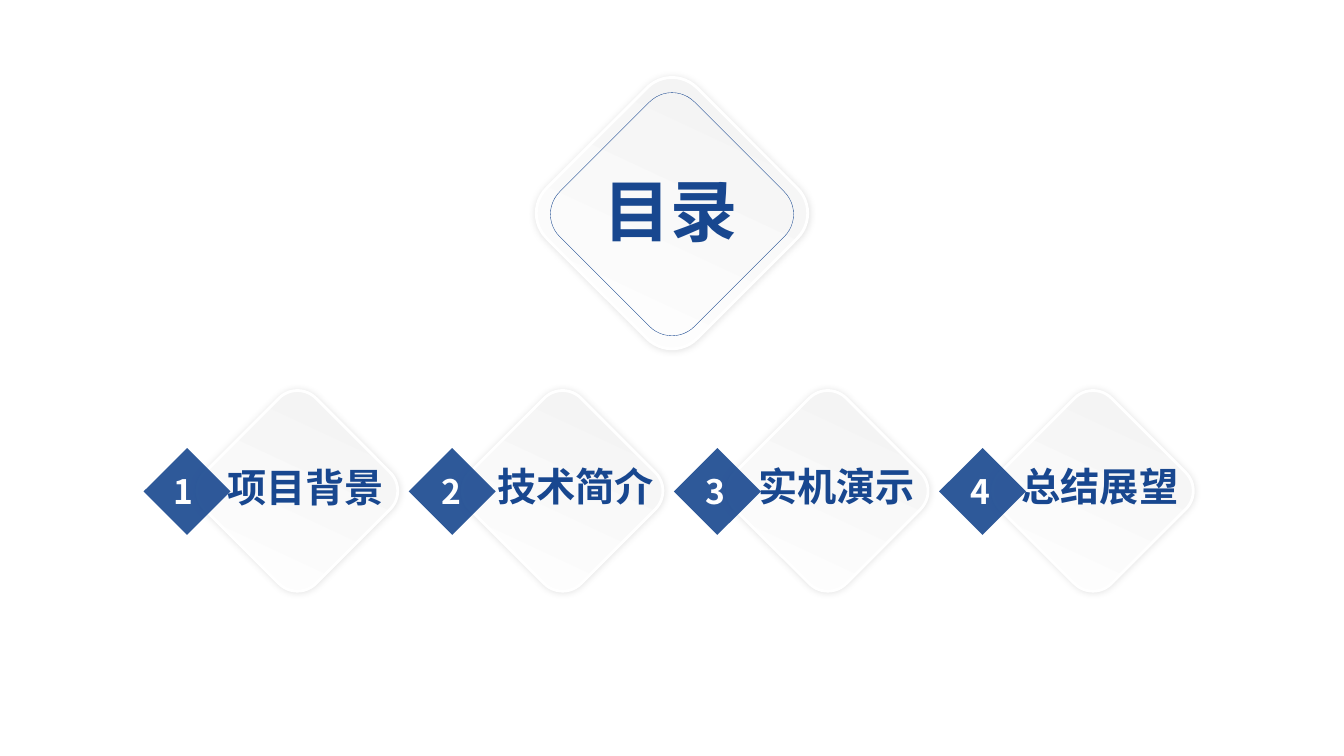
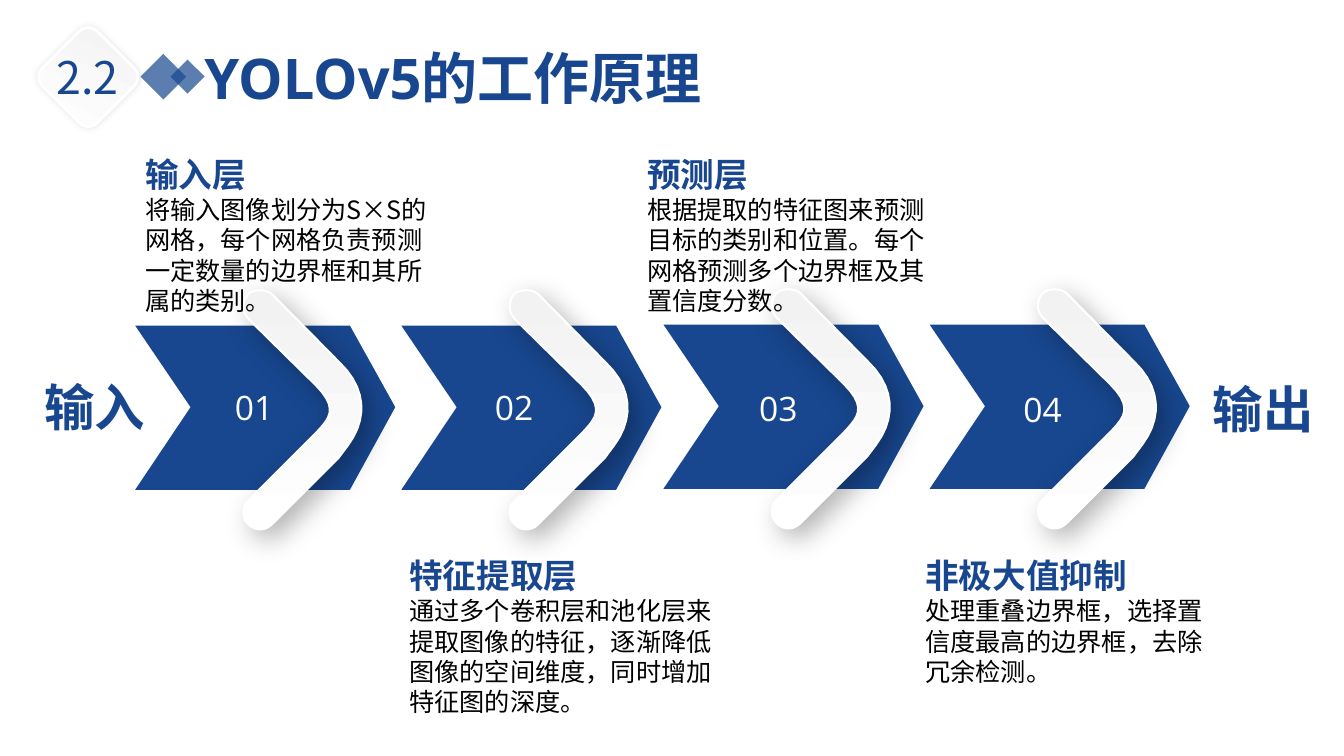
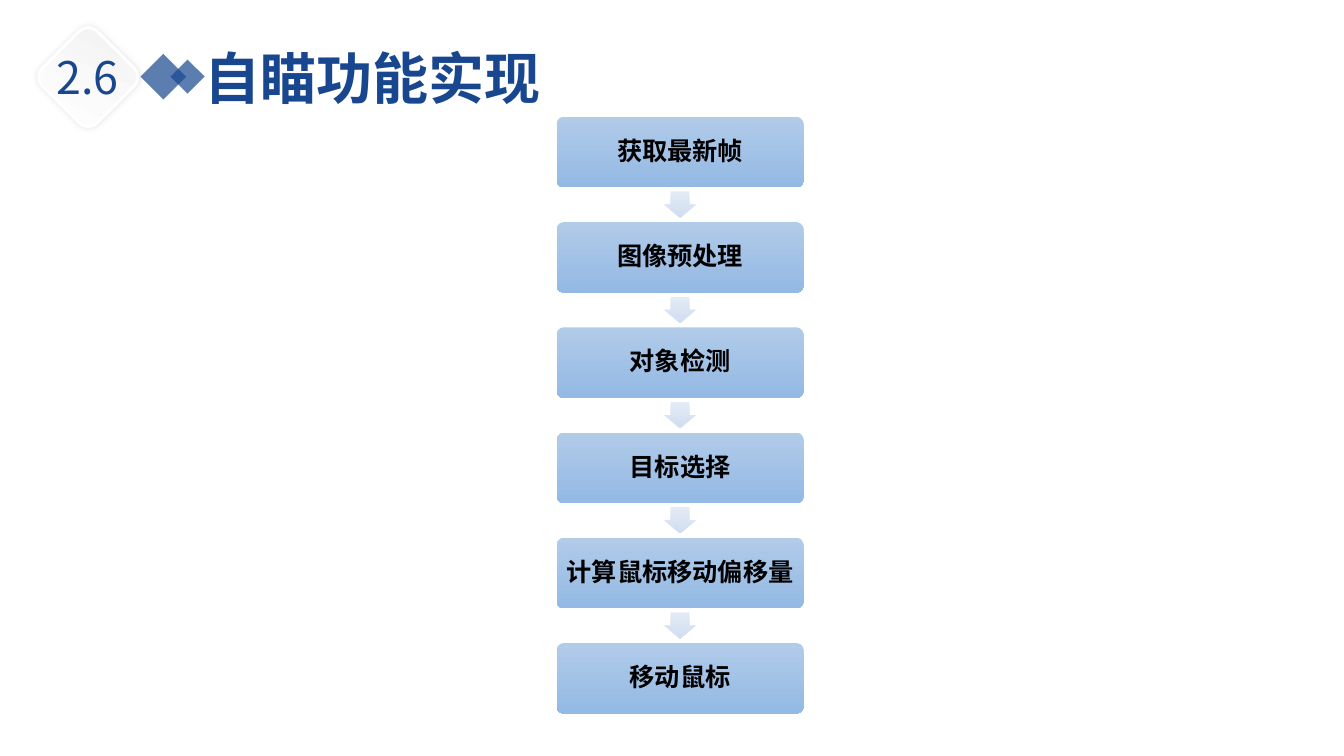
import pptx
import pptx.dml.color
import pptx.enum.shapes
import pptx.enum.text
import pptx.oxml
import pptx.oxml.ns
import pptx.util
from lxml import etree

Inches = pptx.util.Inches
Pt = pptx.util.Pt
SHAPE = pptx.enum.shapes.MSO_SHAPE
ALIGN = pptx.enum.text.PP_ALIGN
ANCHOR = pptx.enum.text.MSO_ANCHOR
AUTO_SIZE = pptx.enum.text.MSO_AUTO_SIZE
qn = pptx.oxml.ns.qn

# Shared colours, fonts and text styles
NAVY, WHITE, PALE, BLACK = "18478F", "FFFFFF", "F2F2F2", "000000"
CJK, LATIN = "Noto Sans CJK SC", "Open Sans"
TITLE = {"size": Pt(40), "bold": True, "name": LATIN, "color": NAVY}
SECTION = {"size": Pt(32), "bold": False, "name": CJK, "color": NAVY}
CONTENTS = {"size": Pt(48), "bold": True, "name": CJK, "color": NAVY}
CHAPTER = {"size": Pt(28), "bold": True, "name": CJK, "color": NAVY}
CHAPTER_NUMBER = {"size": Pt(24), "bold": True, "name": CJK, "color": WHITE}
ENDPOINT = {"size": Pt(36), "bold": True, "name": CJK, "color": NAVY}
HEADING = {"size": Pt(24), "bold": True, "name": CJK, "color": NAVY}
BODY = {"size": Pt(18), "bold": False, "name": CJK, "color": BLACK}
STAGE_NUMBER = {"size": Pt(24), "bold": False, "name": LATIN, "color": WHITE}
STEP = {"size": Pt(18), "bold": True, "name": CJK, "color": BLACK}

# Stage arrow and white hook, relative to the arrow's top left corner
ARROW = [(0, 0), (2.13, 0), (2.58, 0.81), (2.13, 1.63), (0, 1.63), (0.55, 0.81)]
HOOK = [  # a point is a straight run, three points are a curve
    [(1.24, -0.35)],
    [(1.28, -0.35), (1.32, -0.34), (1.36, -0.31)],
    [(2.03, 0.37)],
    [(2.29, 0.62), (2.31, 0.92), (2.11, 1.19)],
    [(2.02, 1.31)],
    [(1.36, 1.97)],
    [(1.29, 2.04), (1.19, 2.04), (1.12, 1.97)],
    [(1.06, 1.91), (1.06, 1.8), (1.12, 1.74)],
    [(1.79, 1.07)],
    [(1.92, 0.93), (2.03, 0.83), (1.79, 0.59)],
    [(1.12, -0.07)],
    [(1.06, -0.14), (1.06, -0.24), (1.12, -0.31)],
    [(1.15, -0.34), (1.2, -0.35), (1.24, -0.35)],
]


def rgb(color):
    return pptx.dml.color.RGBColor.from_string(color)


# Fill, line and shadow
def paint(shape, fill=None, alpha=100, line=None, width=1):
    shape.shadow.inherit = False
    if fill:
        shape.fill.solid()
        shape.fill.fore_color.rgb = rgb(fill)
    else:
        shape.fill.background()
    if alpha < 100:
        color = shape._element.spPr.find(".//" + qn("a:srgbClr"))
        etree.SubElement(color, qn("a:alpha"), val=str(alpha * 1000))
    if line:
        shape.line.color.rgb = rgb(line)
        shape.line.width = Pt(width)
    else:
        shape.line.fill.background()


def shade(shape, start, end, clockwise):
    shape.fill.gradient()
    shape.fill.gradient_angle = 360 - clockwise
    for stop, color in zip(shape.fill.gradient_stops, (start, end)):
        stop.color.rgb = rgb(color)


def cast_shadow(shape, alpha, blur, distance=0, angle=0):
    effects = shape._element.spPr.find(qn("a:effectLst"))
    shadow = etree.SubElement(
        effects, qn("a:outerShdw"), blurRad=str(Pt(blur)), dist=str(Pt(distance)),
        dir=str(angle * 60000), algn="ctr", rotWithShape="0")
    color = etree.SubElement(shadow, qn("a:srgbClr"), val=BLACK)
    etree.SubElement(color, qn("a:alpha"), val=str(alpha * 1000))


# Shapes
def add_preset(slide, kind, left, top, width, height, rotation=0):
    shape = slide.shapes.add_shape(
        kind, Inches(left), Inches(top), Inches(width), Inches(height))
    shape.rotation = rotation
    return shape


def add_soft_diamond(slide, left, top, side):
    diamond = add_preset(slide, SHAPE.ROUNDED_RECTANGLE, left, top, side, side, 45)
    paint(diamond, WHITE, line=WHITE, width=2)
    shade(diamond, WHITE, PALE, 250)
    cast_shadow(diamond, 11, 5)


def add_blue_diamond(slide, left, top, side, alpha):
    diamond = add_preset(slide, SHAPE.RECTANGLE, left, top, side, side, 225)
    paint(diamond, NAVY, alpha)


def add_outline(slide, points, left, top):
    corners = [(Inches(left + x), Inches(top + y)) for x, y in points]
    builder = slide.shapes.build_freeform(*corners[0])
    builder.add_line_segments(corners[1:], close=True)
    return builder.convert_to_shape()


def flatten(segments, steps=10):
    points = []
    for segment in segments:
        if len(segment) == 1:
            points += segment
            continue
        curve = [points[-1]] + segment
        for step in range(1, steps + 1):
            t = step / steps
            weights = ((1 - t) ** 3, 3 * t * (1 - t) ** 2, 3 * t * t * (1 - t), t ** 3)
            points.append(tuple(
                sum(w * point[axis] for w, point in zip(weights, curve))
                for axis in (0, 1)))
    return points


# Text
def write(paragraph, text, style, align=ALIGN.LEFT, spacing=None):
    paragraph.alignment = align
    if spacing:
        paragraph.line_spacing = spacing
    run = paragraph.add_run()
    run.text = text
    for name, value in style.items():
        if name == "color":
            run.font.color.rgb = rgb(value)
        else:
            setattr(run.font, name, value)
    east_asian = etree.Element(qn("a:ea"), typeface=CJK)
    run.font._element.find(qn("a:latin")).addnext(east_asian)


def add_text(slide, left, top, width, height, lines, align=ALIGN.LEFT, wrap=True):
    """lines holds (text, style) or (text, style, line spacing)."""
    box = slide.shapes.add_textbox(
        Inches(left), Inches(top), Inches(width), Inches(height))
    frame = box.text_frame
    frame.word_wrap = wrap
    frame.auto_size = AUTO_SIZE.SHAPE_TO_FIT_TEXT
    for index, (text, style, *spacing) in enumerate(lines):
        paragraph = frame.add_paragraph() if index else frame.paragraphs[0]
        write(paragraph, text, style, align, *spacing)


def add_header(slide, number, title):
    add_blue_diamond(slide, 1.46, 0.6, 0.32, 70)
    add_blue_diamond(slide, 1.74, 0.64, 0.24, 70)
    add_soft_diamond(slide, 0.49, 0.38, 0.77)
    add_text(slide, 0.46, 0.44, 0.83, 0.64, [(number, SECTION)], wrap=False)
    add_text(slide, 1.93, 0.38, 5.93, 0.77, [(title, TITLE)])


# Slides
def build_contents(slide):
    add_soft_diamond(slide, 5.61, 1.06, 2.11)
    inner_frame = add_preset(slide, SHAPE.ROUNDED_RECTANGLE, 5.72, 1.18, 1.89, 1.89, 45)
    paint(inner_frame, line=NAVY, width=0.25)
    add_text(slide, 5.4, 1.63, 2.51, 0.91, [("目录", CONTENTS)], ALIGN.CENTER)

    chapters = [  # name, centre and top of name, left of number
        ("项目背景", 3.03, 4.55, 1.62),
        ("技术简介", 5.71, 4.54, 4.28),
        ("实机演示", 8.3, 4.54, 6.9),
        ("总结展望", 10.91, 4.54, 9.53),
    ]
    for index, (name, centre, top, number_left) in enumerate(chapters):
        left = 2.17 + 2.63 * index
        add_soft_diamond(slide, left, 4.09, 1.56)
        add_blue_diamond(slide, left - 0.62, 4.57, 0.61, 90)
        add_text(slide, centre - 1.05, top, 2.1, 0.57, [(name, CHAPTER)], ALIGN.CENTER)
        add_text(slide, number_left, 4.62, 0.41, 0.5,
                 [(str(index + 1), CHAPTER_NUMBER)], wrap=False)


def add_stage(slide, left, top):
    arrow = add_outline(slide, ARROW, left, top)
    paint(arrow, NAVY)
    hook = add_outline(slide, flatten(HOOK), left, top)
    paint(hook, WHITE, line=WHITE, width=1.5)
    shade(hook, PALE, WHITE, 90)
    cast_shadow(hook, 30, 20, 8, 45)


def build_principle(slide):
    add_header(slide, "2.2", "YOLOv5的工作原理")
    stages = [  # arrow left and top, number left and top, caption box, caption
        (1.34, 3.23, 2.18, 3.79, (1.34, 1.08, 3.11, 2.12), "输入层",
         "将输入图像划分为S×S的网格，每个网格负责预测一定数量的边界框和其所属的类别。"),
        (3.98, 3.23, 4.76, 3.79, (3.96, 5.06, 3.29, 2.12), "特征提取层",
         "通过多个卷积层和池化层来提取图像的特征，逐渐降低图像的空间维度，同时增加特征图的深度。"),
        (6.58, 3.22, 7.38, 3.8, (6.32, 1.08, 3.01, 2.12), "预测层",
         "根据提取的特征图来预测目标的类别和位置。每个网格预测多个边界框及其置信度分数。"),
        (9.22, 3.22, 10, 3.81, (9.08, 5.06, 3.07, 1.82), "非极大值抑制",
         "处理重叠边界框，选择置信度最高的边界框，去除冗余检测。"),
    ]
    for number, stage in enumerate(stages, 1):
        left, top, number_left, number_top, caption, heading, body = stage
        add_stage(slide, left, top)
        add_text(slide, *caption, [(heading, HEADING, 2.0), (body, BODY)])
        add_text(slide, number_left, number_top, 0.68, 0.5,
                 [(f"{number:02}", STAGE_NUMBER)], ALIGN.CENTER)
    add_text(slide, 0.34, 3.68, 1.21, 0.71, [("输入", ENDPOINT)], wrap=False)
    add_text(slide, 11.93, 3.7, 1.21, 0.71, [("输出", ENDPOINT)], wrap=False)


def add_step(slide, top, name):
    step = add_preset(slide, SHAPE.ROUNDED_RECTANGLE, 5.52, top, 2.45, 0.7)
    step.adjustments[0] = 0.1
    paint(step)
    shade(step, "B1CBE9", "93B9E4", 90)
    layout = {"margin_left": Inches(0.07), "margin_right": Inches(0.07),
              "margin_top": Inches(0.07), "margin_bottom": Inches(0.07),
              "vertical_anchor": ANCHOR.MIDDLE, "word_wrap": True}
    for attribute, value in layout.items():
        setattr(step.text_frame, attribute, value)
    write(step.text_frame.paragraphs[0], name, STEP, ALIGN.CENTER, 0.9)


def add_down_arrow(slide, top):
    arrow = add_preset(slide, SHAPE.DOWN_ARROW, 6.59, top, 0.31, 0.26)
    arrow.adjustments[0] = 0.6
    arrow.adjustments[1] = 0.5
    paint(arrow)
    shade(arrow, "E3EBF6", "D0DEF1", 90)


def build_flow(slide):
    add_header(slide, "2.6", "自瞄功能实现")
    steps = ["获取最新帧", "图像预处理", "对象检测", "目标选择",
             "计算鼠标移动偏移量", "移动鼠标"]
    pitch = (6.38 - 1.16) / (len(steps) - 1)
    for index, name in enumerate(steps):
        top = 1.16 + pitch * index
        add_step(slide, top, name)
        if index < len(steps) - 1:
            add_down_arrow(slide, top + 0.74)


def main():
    deck = pptx.Presentation()
    deck.slide_width = Inches(13.33)
    deck.slide_height = Inches(7.5)
    for build in (build_contents, build_principle, build_flow):
        build(deck.slides.add_slide(deck.slide_layouts[6]))
    deck.save("out.pptx")


if __name__ == "__main__":
    main()
